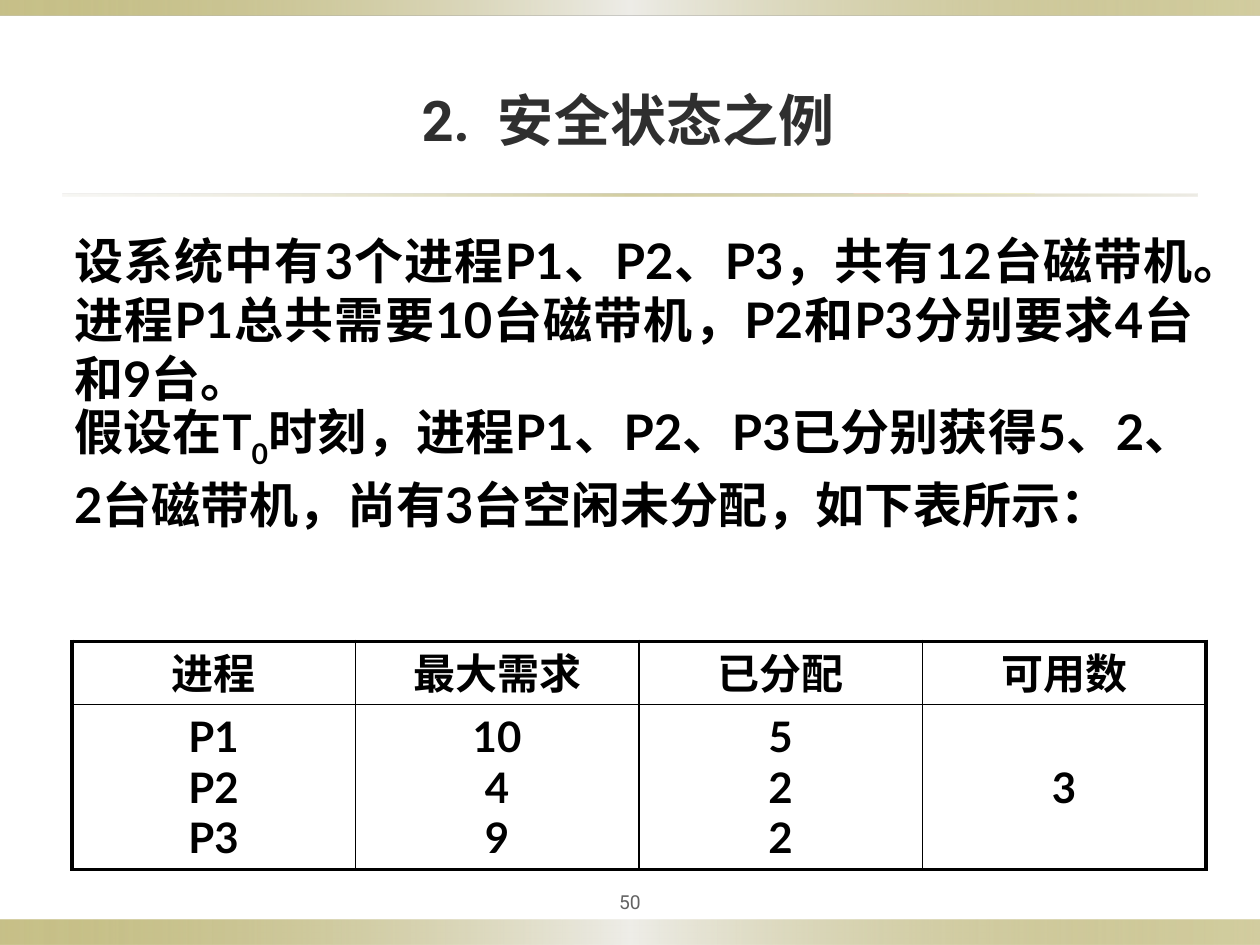
from dataclasses import dataclass

from lxml import etree
from pptx import Presentation
from pptx import util as u
from pptx.dml.color import RGBColor
from pptx.enum import shapes, text
from pptx.oxml.ns import qn


@dataclass(frozen=True)
class Theme:
    latin: str = "Lato"
    heading: str = "Roboto"
    cjk: str = "Noto Sans CJK SC"
    ink: str = "000000"
    title: str = "2F2F2F"
    muted: str = "636363"
    title_size: float = 32
    body_size: float = 28
    table_size: float = 24
    number_size: float = 11
    thick: float = 2.25
    thin: float = 1
    # Gradient stops: position %, colour, opacity %
    band: tuple = ((0, "918415", 50), (50, "EEEDE8", 100), (100, "918415", 40))
    rule: tuple = ((0, "DCD9CC", 20), (50, "918415", 40), (100, "DCD9CC", 50))


class SlideBuilder:
    def __init__(self, slide, theme):
        self.s, self.theme = slide, theme

    def format_run(self, r, size, color, latin, cjk, bold=True):
        r.font.size, r.font.bold, r.font.name = u.Pt(size), bold, latin
        r.font.color.rgb = RGBColor.from_string(color)
        ea = etree.Element(qn("a:ea"), typeface=cjk)
        r.font._element.find(qn("a:latin")).addnext(ea)

    def gradient_bar(self, left, top, width, height, stops):
        sp = self.s.shapes.add_shape(
            shapes.MSO_SHAPE.RECTANGLE, *map(u.Inches, (left, top, width, height)))
        sp.shadow.inherit = False
        sp.line.fill.background()
        sp.fill.gradient()
        sp.fill.gradient_angle = 0
        stop_list = next(sp._element.iter(qn("a:gsLst")))
        for old in list(stop_list):
            stop_list.remove(old)
        for pos, color, opacity in stops:
            gs = etree.SubElement(stop_list, qn("a:gs"), pos=str(pos * 1000))
            clr = etree.SubElement(gs, qn("a:srgbClr"), val=color)
            etree.SubElement(clr, qn("a:alpha"), val=str(opacity * 1000))

    def text_box(self, left, top, width, height, anchor=text.MSO_ANCHOR.MIDDLE):
        tf = self.s.shapes.add_textbox(
            *map(u.Inches, (left, top, width, height))).text_frame
        tf.word_wrap, tf.vertical_anchor = True, anchor
        return tf

    def title(self, number, words):
        t = self.theme
        tf = self.text_box(0.51, 0.6, 9.05, 0.69)
        tf.margin_right = u.Inches(0.2)
        p = tf.paragraphs[0]
        p.alignment = text.PP_ALIGN.CENTER
        for part in (number, " ", words):
            r = p.add_run()
            r.text = part
            self.format_run(r, t.title_size, t.title, t.heading, t.cjk)
            if part == " ":  # widen the gap after the number
                r.font._element.set("spc", "800")

    def body(self, paragraphs):
        """Each paragraph is (line spacing in points, [(words, baseline %)])."""
        t = self.theme
        tf = self.text_box(0.49, 1.78, 9.08, 2.46, text.MSO_ANCHOR.TOP)
        for i, (spacing, parts) in enumerate(paragraphs):
            p = tf.add_paragraph() if i else tf.paragraphs[0]
            p.alignment, p.line_spacing = text.PP_ALIGN.JUSTIFY, u.Pt(spacing)
            for words, baseline in parts:
                r = p.add_run()
                r.text = words
                self.format_run(r, t.body_size, t.ink, t.latin, t.cjk)
                if baseline:
                    r.font._element.set("baseline", str(baseline * 1000))

    def page_number(self, number):
        t = self.theme
        tf = self.text_box(4.5, 7, 1, 0.31)
        tf.text = number
        p = tf.paragraphs[0]
        p.alignment = text.PP_ALIGN.CENTER
        self.format_run(p.runs[0], t.number_size, t.muted, t.heading, t.cjk, False)

    def borders(self, cell, widths):
        tc_pr = cell._tc.get_or_add_tcPr()
        for side, width in widths.items():
            ln = etree.SubElement(tc_pr, qn(f"a:ln{side}"), w=str(u.Pt(width)))
            fill = etree.SubElement(ln, qn("a:solidFill"))
            etree.SubElement(fill, qn("a:srgbClr"), val=self.theme.ink)

    def table(self, left, top, width, row_heights, rows):
        t = self.theme
        n_rows, n_cols = len(rows), len(rows[0])
        tbl = self.s.shapes.add_table(
            n_rows, n_cols, u.Inches(left), u.Inches(top),
            u.Inches(width), u.Inches(sum(row_heights))).table
        tbl.first_row = tbl.horz_banding = False
        for i, row in enumerate(rows):
            tbl.rows[i].height = u.Inches(row_heights[i])
            for j, words in enumerate(row):
                cell = tbl.cell(i, j)
                outer = {"L": j == 0, "R": j == n_cols - 1,
                         "T": i == 0, "B": i == n_rows - 1}
                self.borders(cell, {side: t.thick if edge else t.thin
                                    for side, edge in outer.items()})
                cell.fill.background()
                cell.vertical_anchor = text.MSO_ANCHOR.MIDDLE
                cell.text_frame.text = words
                for p in cell.text_frame.paragraphs:
                    p.alignment = text.PP_ALIGN.CENTER
                    self.format_run(p.runs[0], t.table_size, t.ink, t.latin, t.latin)


def main():
    prs = Presentation()
    prs.slide_width, prs.slide_height = u.Inches(10), u.Inches(7.5)
    theme = Theme()
    b = SlideBuilder(prs.slides.add_slide(prs.slide_layouts[6]), theme)

    b.gradient_bar(0, 7.3, 10, 0.2, theme.band)
    b.gradient_bar(0, 0, 10, 0.12, theme.band)
    b.gradient_bar(0.5, 1.54, 9, 0.02, theme.rule)
    b.title("2.", "安全状态之例")
    b.page_number("50")
    b.body([
        (33.7, [("设系统中有3个进程P1、P2、P3，共有12台磁带机。进程P1总共需要10台磁带机，"
                 "P2和P3分别要求4台和9台。", 0)]),
        (36, [("假设在T", 0), ("0", -30),
              ("时刻，进程P1、P2、P3已分别获得5、2、2台磁带机，尚有3台空闲未分配，"
               "如下表所示：", 0)]),
    ])
    b.table(0.57, 5.09, 9, (0.5, 1.31), [
        ("进程", "最大需求", "已分配", "可用数"),
        ("P1\nP2\nP3", "10\n4\n9", "5\n2\n2", "3"),
    ])
    prs.save("out.pptx")


if __name__ == "__main__":
    main()
